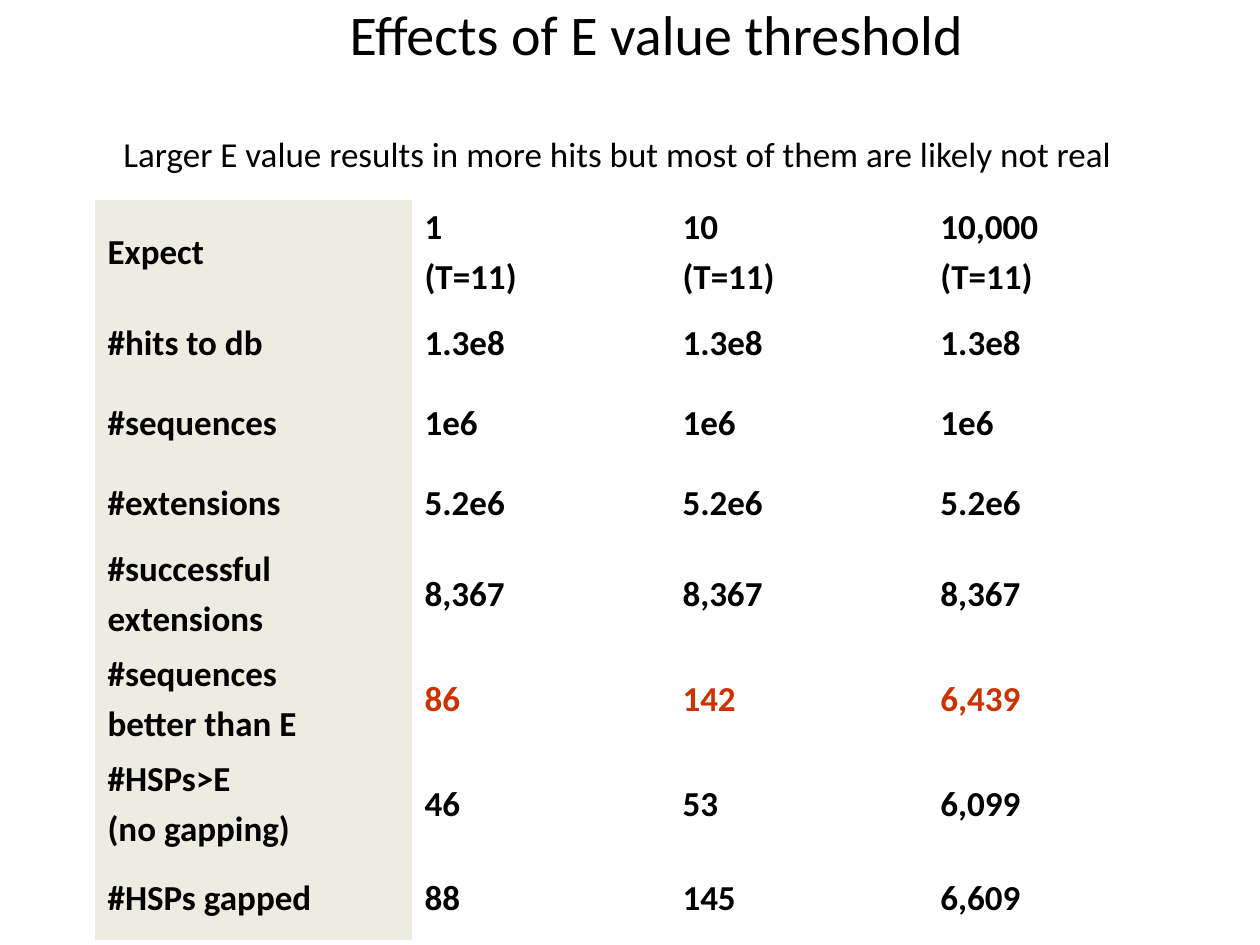
from pptx import Presentation
from pptx.dml.color import RGBColor
from pptx.enum.text import MSO_ANCHOR as Anchor, PP_ALIGN as Align
from pptx.util import Pt

PX = 914400 // 126
FONT = "Calibri"
COLORS = {"text": "000000", "highlight": "CC3300", "label": "EEECE1"}
PLAIN_TABLE_STYLE = "{2D5ABB26-0587-4C30-8999-92F81FD0307C}"

TITLE = "Effects of E value threshold"
SUMMARY = "\tLarger E value results in more hits but most of them are likely not real"
ROWS = [
    ("Expect", "1\n(T=11)", "10\n(T=11)", "10,000\n(T=11)"),
    ("#hits to db", "1.3e8", "1.3e8", "1.3e8"),
    ("#sequences", "1e6", "1e6", "1e6"),
    ("#extensions", "5.2e6", "5.2e6", "5.2e6"),
    ("#successful\nextensions", "8,367", "8,367", "8,367"),
    ("#sequences\nbetter than E", "86", "142", "6,439"),
    ("#HSPs>E\n(no gapping)", "46", "53", "6,099"),
    ("#HSPs gapped", "88", "145", "6,609"),
]
HIGHLIGHT_ROW = 5

TITLE_BOX = (116, 0, 1081, 67)
SUMMARY_BOX = (63, 126, 1124, 63)
TABLE_BOX = (95, 200, 1092, 740)
COLUMN_WIDTHS = [317, 258, 258, 259]
ROW_HEIGHTS = [105, 77, 83, 77, 105, 105, 105, 83]
HANGING_INDENT = 48


def emu(lengths):
    return [length * PX for length in lengths]


def write(text_frame, text, size, color="text", bold=False, align=Align.LEFT):
    text_frame.text = text
    text_frame.word_wrap = True
    for index, paragraph in enumerate(text_frame.paragraphs):
        paragraph.alignment = align
        paragraph.space_before = Pt(4 if index else 0)
        font = paragraph.font
        font.name, font.size, font.bold = FONT, Pt(size), bold
        font.color.rgb = RGBColor.from_string(COLORS[color])


def add_title(slide):
    title = slide.shapes.title
    title.left, title.top, title.width, title.height = emu(TITLE_BOX)
    write(title.text_frame, TITLE, 32, align=Align.CENTER)
    title.text_frame.vertical_anchor = Anchor.MIDDLE


def add_summary(slide):
    text_frame = slide.shapes.add_textbox(*emu(SUMMARY_BOX)).text_frame
    write(text_frame, SUMMARY, 20)
    properties = text_frame.paragraphs[0]._p.get_or_add_pPr()
    properties.set("marL", str(HANGING_INDENT * PX))
    properties.set("indent", str(-HANGING_INDENT * PX))


def add_results(slide):
    frame = slide.shapes.add_table(len(ROWS), len(COLUMN_WIDTHS), *emu(TABLE_BOX))
    table = frame.table
    table.first_row = table.horz_banding = False
    table._tbl.tblPr[0].text = PLAIN_TABLE_STYLE
    for column, width in zip(table.columns, emu(COLUMN_WIDTHS)):
        column.width = width
    for row, height in zip(table.rows, emu(ROW_HEIGHTS)):
        row.height = height
    for row_index, values in enumerate(ROWS):
        for column_index, value in enumerate(values):
            cell = table.cell(row_index, column_index)
            is_label = column_index == 0
            highlighted = row_index == HIGHLIGHT_ROW and not is_label
            color = "highlight" if highlighted else "text"
            write(cell.text_frame, value, 20, color, bold=True)
            cell.vertical_anchor = Anchor.MIDDLE
            if is_label:
                cell.fill.solid()
                cell.fill.fore_color.rgb = RGBColor.from_string(COLORS["label"])
            else:
                cell.fill.background()


def main():
    presentation = Presentation()
    presentation.slide_width, presentation.slide_height = emu((1260, 945))
    slide = presentation.slides.add_slide(presentation.slide_layouts[5])
    add_title(slide)
    add_summary(slide)
    add_results(slide)
    presentation.save("out.pptx")


if __name__ == "__main__":
    main()
